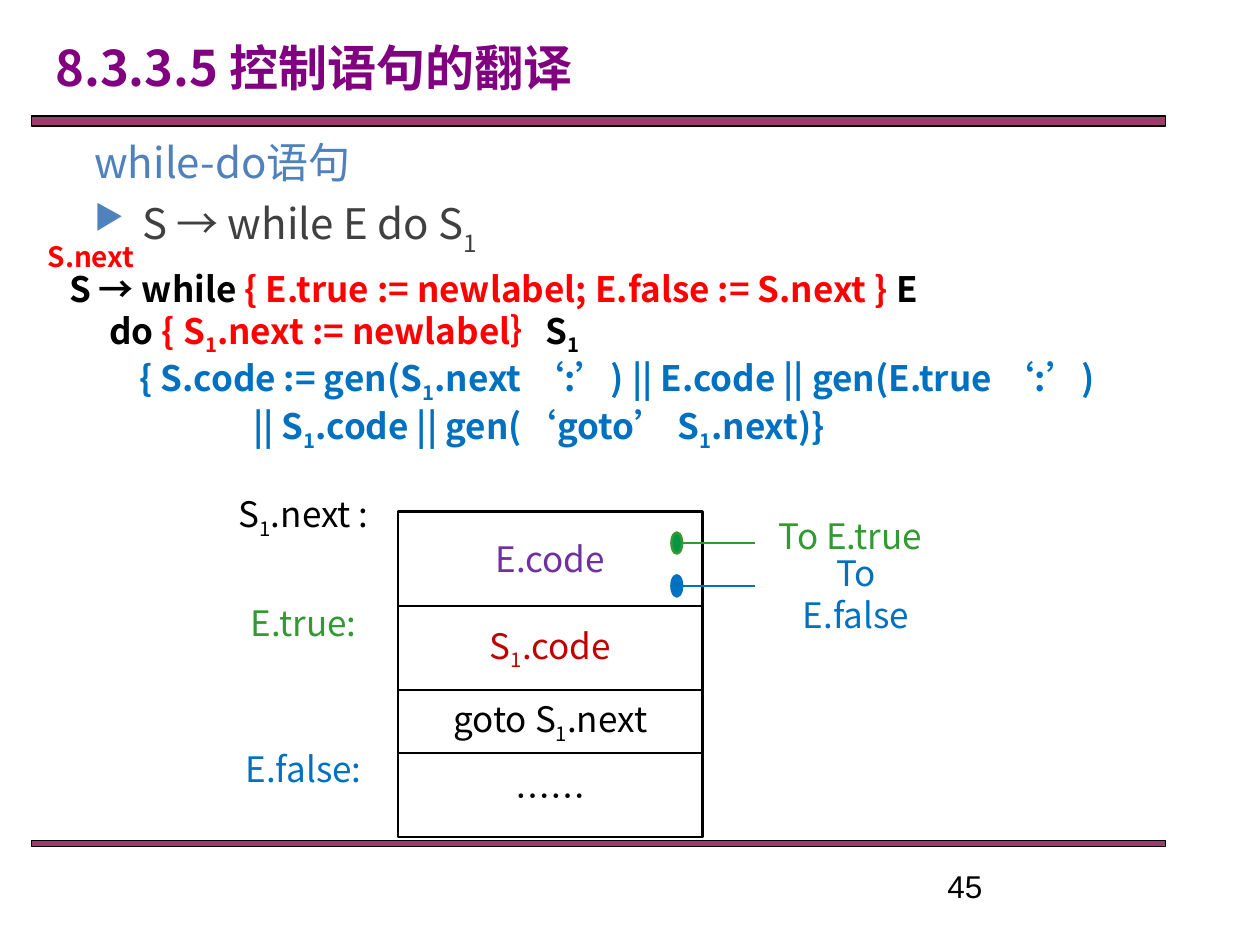
"""Build the slide on translating the while-do control statement."""
import pptx
import pptx.dml.color
import pptx.enum.shapes
import pptx.enum.text
import pptx.oxml.ns
import pptx.util
from lxml import etree

THEME = {
    "font": "Noto Sans CJK SC", "number_font": "Arial",
    "title": 28, "heading": 24, "body": 20, "small": 16, "number": 18,
    "purple": "800080", "bar": "993366", "accent": "4F81BD", "grey": "404040",
    "black": "000000", "red": "FF0000", "blue": "0070C0", "green": "339933",
    "dot_green": "009644", "violet": "7030A0", "crimson": "C00000",
}
WIDTH, HEIGHT = 10, 7.5
UNIT = 1 / 12

BARS = [(0.92, 0.08), (6.67, 0.05)]
TEXTS = [
    ((0.25, 0.25, 9.08, 0.57), [[("8.3.3.5 控制语句的翻译", "purple")]],
     {"size": "title", "bold": True, "indents": [0.09]}),
    ((7.42, 6.83, 2.33, 0.27), [[("45", "black")]],
     {"size": "number", "font": "number_font"}),
    ((0.65, 1, 3.02, 0.57), [[("while-do语句", "accent")]],
     {"size": "heading", "middle": True}),
    ((0.65, 1.52, 8.63, 0.55), [[("S → while E do S_1", "grey")]],
     {"size": "heading", "bullet": "▶", "spacing": 0.9, "subscript": -30}),
]
CODE_ROWS = [
    ("E.code", "violet", 9), ("S_1.code", "crimson", 8),
    ("goto S_1.next", "black", 6), ("……", "black", 8),
]
CODE_LEFT, CODE_TOP, CODE_COLUMNS = 3.16, 4.06, 29
EXITS = [
    ("To E.true", "green", "dot_green", 4.31, (6.08, 3.96, 1.34)),
    ("To E.false", "blue", "blue", 4.65, (6.17, 4.42, 1.25)),
]
LABELS = [("S_1.next :", "black", 3.81), ("E.true:", "green", 4.65), ("E.false:", "blue", 5.81)]
SCHEME = [
    [("S → while ", "black"), ("{ E.true := newlabel; E.false := S.next }", "red"), (" E", "black")],
    [("do ", "black"), ("{ S_1.next := newlabel｝", "red"), ("S_1", "black")],
    [("{ S.code := gen(S_1.next ‘:’) || E.code || gen(E.true ‘:’)", "blue")],
    [("|| S_1.code || gen(‘goto’ S_1.next)}", "blue")],
]
SCHEME_INDENTS = [0, 0.32, 0.56, 1.46]


def inches(*lengths):
    return [pptx.util.Inches(length) for length in lengths]


def colour(name):
    return pptx.dml.color.RGBColor.from_string(THEME[name])


def add_run(paragraph, text, colour_name, size, bold, font, baseline):
    run = paragraph.add_run()
    run.text = text
    run.font.name = THEME[font]
    run.font.size = pptx.util.Pt(THEME[size])
    run.font.bold = bold
    run.font.color.rgb = colour(colour_name)
    properties = run.font._element
    east_asian = etree.Element(pptx.oxml.ns.qn("a:ea"), typeface=THEME[font])
    properties.find(pptx.oxml.ns.qn("a:latin")).addnext(east_asian)
    if baseline:
        properties.set("baseline", str(baseline * 1000))


def add_bullet(paragraph, symbol):
    properties = paragraph._p.get_or_add_pPr()
    properties.set("marL", str(pptx.util.Inches(0.38)))
    properties.set("indent", str(pptx.util.Inches(-0.38)))
    bullet_colour = etree.SubElement(properties, pptx.oxml.ns.qn("a:buClr"))
    etree.SubElement(bullet_colour, pptx.oxml.ns.qn("a:srgbClr"), val=THEME["accent"])
    etree.SubElement(properties, pptx.oxml.ns.qn("a:buSzPct"), val="80000")
    etree.SubElement(properties, pptx.oxml.ns.qn("a:buChar"), char=symbol)


def write_text(shape, lines, size="body", bold=False, font="font", middle=False,
               centred=False, wrap=True, indents=(), bullet=None, spacing=None, subscript=-25):
    frame = shape.text_frame
    frame.word_wrap = wrap
    anchors = pptx.enum.text.MSO_ANCHOR
    frame.vertical_anchor = anchors.MIDDLE if middle else anchors.TOP
    for index, line in enumerate(lines):
        paragraph = frame.add_paragraph() if index else frame.paragraphs[0]
        alignments = pptx.enum.text.PP_ALIGN
        paragraph.alignment = alignments.CENTER if centred else alignments.LEFT
        if spacing:
            paragraph.line_spacing = spacing
        if indents:
            paragraph._p.get_or_add_pPr().set("marL", str(pptx.util.Inches(indents[index])))
        if bullet:
            add_bullet(paragraph, bullet)
        for text, colour_name in line:
            first, *others = text.split("_")
            pieces = [(first, 0)]
            for other in others:
                pieces += [(other[0], subscript), (other[1:], 0)]
            for piece, baseline in pieces:
                if piece:
                    add_run(paragraph, piece, colour_name, size, bold, font, baseline)


def add_text(slide, box, lines, **style):
    write_text(slide.shapes.add_textbox(*inches(*box)), lines, **style)


def add_box(shapes, kind, box, line, width, fill=None):
    shape = shapes.add_shape(kind, *inches(*box))
    shape.shadow.inherit = False
    shape.line.color.rgb = colour(line)
    shape.line.width = pptx.util.Pt(width)
    if fill:
        shape.fill.solid()
        shape.fill.fore_color.rgb = colour(fill)
    else:
        shape.fill.background()
    return shape


def add_exit(slide, line_colour, dot_colour, middle):
    shapes = slide.shapes.add_group_shape().shapes
    connector = shapes.add_connector(
        pptx.enum.shapes.MSO_CONNECTOR.STRAIGHT, *inches(5.41, middle, 5.99, middle))
    connector.line.color.rgb = colour(line_colour)
    connector.line.width = pptx.util.Pt(1.5)
    etree.SubElement(connector._element.spPr, pptx.oxml.ns.qn("a:effectLst"))
    oval = pptx.enum.shapes.MSO_SHAPE.OVAL
    add_box(shapes, oval, (5.33, middle - UNIT, UNIT, 2 * UNIT), line_colour, 1.5, dot_colour)


def main():
    presentation = pptx.Presentation()
    presentation.slide_width, presentation.slide_height = inches(WIDTH, HEIGHT)
    slide = presentation.slides.add_slide(presentation.slide_layouts[6])
    rectangle = pptx.enum.shapes.MSO_SHAPE.RECTANGLE
    label_style = {"middle": True, "centred": True, "wrap": False}

    for top, height in BARS:
        bar = add_box(slide.shapes, rectangle, (0.25, top, 0.9 * WIDTH, height), "black", 0.75, "bar")
        fill_colour = bar._element.spPr.find(".//" + pptx.oxml.ns.qn("a:srgbClr"))
        etree.SubElement(fill_colour, pptx.oxml.ns.qn("a:alpha"), val="96000")
    for box, lines, style in TEXTS:
        add_text(slide, box, lines, **style)

    top = CODE_TOP
    for text, colour_name, rows in CODE_ROWS:
        box = (CODE_LEFT, top, CODE_COLUMNS * UNIT, rows * UNIT)
        shape = add_box(slide.shapes, rectangle, box, "black", 1.5)
        write_text(shape, [[(text, colour_name)]], **label_style)
        top += rows * UNIT

    for text, colour_name, dot_colour, middle, (left, label_top, width) in EXITS:
        add_exit(slide, colour_name, dot_colour, middle)
        add_text(slide, (left, label_top, width, 7 * UNIT), [[(text, colour_name)]], **label_style)
    for text, colour_name, label_top in LABELS:
        box = (CODE_LEFT - 18 * UNIT, label_top, 18 * UNIT, 7 * UNIT)
        add_text(slide, box, [[(text, colour_name)]], **label_style)

    add_text(slide, (0.45, 2.07, 9.38, 1.45), SCHEME, bold=True, indents=SCHEME_INDENTS)
    add_text(slide, (0.28, 1.85, 2.83, 0.37), [[("S.next", "red")]], size="small", bold=True)
    presentation.save("out.pptx")


if __name__ == "__main__":
    main()
